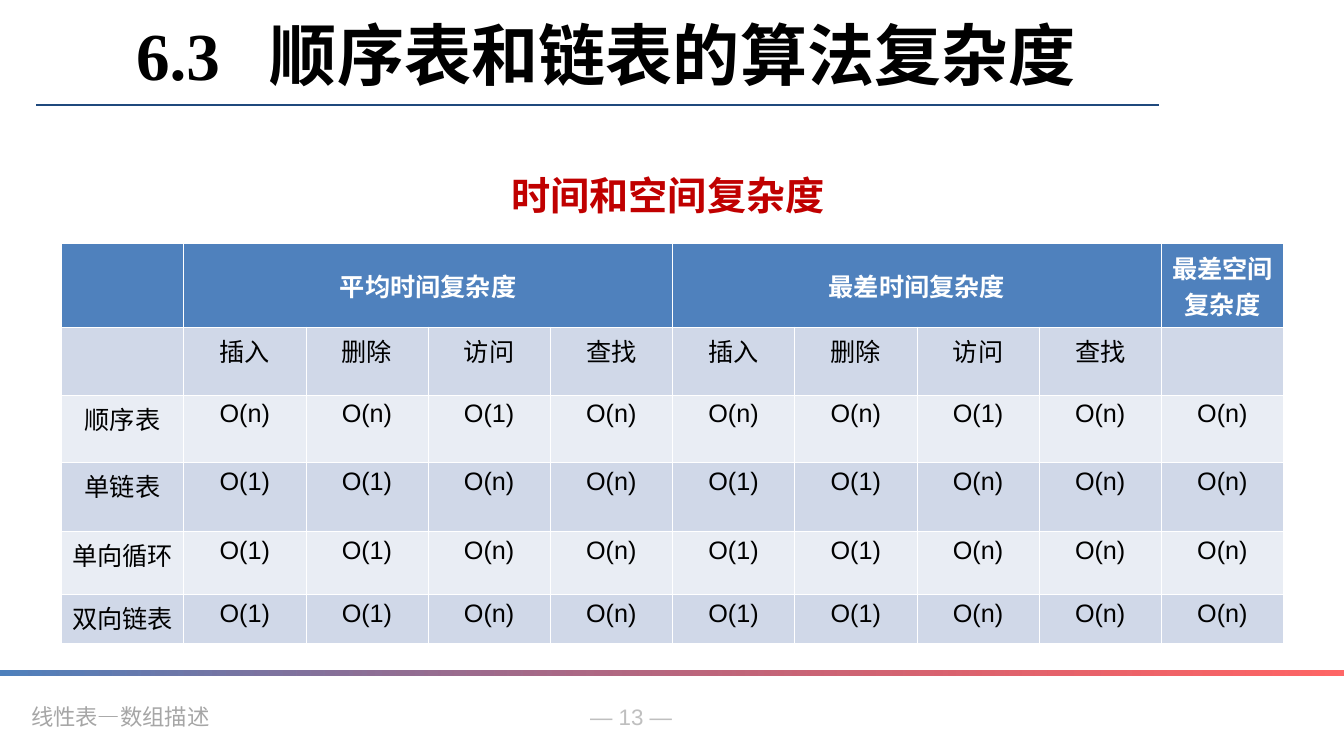
from lxml import etree
from pptx import Presentation
from pptx.dml.color import RGBColor
from pptx.enum import shapes, text
from pptx.oxml import ns
from pptx.util import Inches, Pt

# Content
TITLE_NUMBER, TITLE_TEXT = "6.3", "顺序表和链表的算法复杂度"
SUBTITLE = "时间和空间复杂度"
FOOTER, PAGE_NUMBER = "线性表—数组描述", "— 13 —"
HEADERS = [(1, 4, "平均时间复杂度"), (5, 8, "最差时间复杂度"), (9, 9, "最差空间复杂度")]
OPERATIONS = ["插入", "删除", "访问", "查找"]
ARRAY_COSTS = ["O(n)", "O(n)", "O(1)", "O(n)"]
LINKED_COSTS = ["O(1)", "O(1)", "O(n)", "O(n)"]
STRUCTURES = [
    ("顺序表", ARRAY_COSTS),
    ("单链表", LINKED_COSTS),
    ("单向循环", LINKED_COSTS),
    ("双向链表", LINKED_COSTS),
]
ROW_HEIGHTS = [0.84, 0.67, 0.67, 0.68, 0.63, 0.48]
COLUMN_COUNT, COLUMN_WIDTH = 10, 1.213

# Style
CJK_FONT = "Noto Sans CJK SC"
WHITE, BLACK = RGBColor(255, 255, 255), RGBColor(0, 0, 0)
BLUE, NAVY = RGBColor(0x4F, 0x81, 0xBD), RGBColor(0x1F, 0x49, 0x7D)
RED, DARK_RED = RGBColor(255, 0, 0), RGBColor(0xC0, 0, 0)
DARK_BAND, LIGHT_BAND = RGBColor(0xD0, 0xD8, 0xE8), RGBColor(0xE9, 0xED, 0xF4)
FOOTER_GRAY, PAGE_GRAY = RGBColor(0xA6, 0xA6, 0xA6), RGBColor(0xBF, 0xBF, 0xBF)
THIN, THICK = Pt(0.45), Pt(1.47)


def style_font(font, name, size, color, bold=False):
    font.name, font.size, font.bold = name, Pt(size), bold
    font.color.rgb = color
    latin = font._element.find(ns.qn("a:latin"))
    east_asian = etree.Element(ns.qn("a:ea"), typeface=CJK_FONT)
    latin.addnext(east_asian)


def add_label(slide, box, label, name, size, color, bold=False, wrap=True,
              align=text.PP_ALIGN.LEFT):
    frame = slide.shapes.add_textbox(*map(Inches, box)).text_frame
    frame.word_wrap = wrap
    paragraph = frame.paragraphs[0]
    paragraph.text, paragraph.alignment = label, align
    style_font(paragraph.font, name, size, color, bold)


def set_borders(cell, top, bottom):
    properties = cell._tc.get_or_add_tcPr()
    sides = [("lnL", THIN), ("lnR", THIN), ("lnT", top), ("lnB", bottom)]
    for position, (side, width) in enumerate(sides):
        line = etree.Element(ns.qn("a:" + side), w=str(int(width)))
        fill = etree.SubElement(line, ns.qn("a:solidFill"))
        etree.SubElement(fill, ns.qn("a:srgbClr"), val=str(WHITE))
        properties.insert(position, line)


def add_title(slide):
    title = slide.shapes.title
    title.left, title.top, title.width, title.height = map(Inches, (1.25, 0.08, 9.83, 0.91))
    title.text_frame.vertical_anchor = text.MSO_ANCHOR.MIDDLE
    paragraph = title.text_frame.paragraphs[0]
    paragraph.alignment = text.PP_ALIGN.LEFT
    for label, name in [(TITLE_NUMBER + "\t", "Times New Roman"), (TITLE_TEXT, "Arial")]:
        run = paragraph.add_run()
        run.text = label
        style_font(run.font, name, 48, BLACK, True)
    # A tab stop separates the section number from the heading
    tabs = etree.SubElement(paragraph._p.get_or_add_pPr(), ns.qn("a:tabLst"))
    etree.SubElement(tabs, ns.qn("a:tab"), pos=str(int(Inches(1.33))), algn="l")


def add_rules(slide):
    y = Inches(1.04)
    line = slide.shapes.add_connector(shapes.MSO_CONNECTOR.STRAIGHT,
                                      Inches(0.36), y, Inches(11.5), y)
    line.line.color.rgb, line.line.width = NAVY, Pt(1)
    etree.SubElement(line._element.spPr, ns.qn("a:effectLst"))

    bar = slide.shapes.add_shape(shapes.MSO_SHAPE.RECTANGLE, 0, Inches(6.65),
                                 Inches(13.34), Inches(0.05))
    bar.shadow.inherit = False
    bar.line.fill.background()
    bar.fill.gradient()
    bar.fill.gradient_angle = 0
    for stop, position, color in zip(bar.fill.gradient_stops, (0, 1), (BLUE, RED)):
        stop.position, stop.color.rgb = position, color
    red_stop = bar._element.spPr.findall(".//" + ns.qn("a:srgbClr"))[-1]
    etree.SubElement(red_stop, ns.qn("a:alpha"), val="60000")


def add_complexity_table(slide):
    rows = [[""] * COLUMN_COUNT, ["", *OPERATIONS, *OPERATIONS, ""]]
    rows += [[name, *costs, *costs, "O(n)"] for name, costs in STRUCTURES]
    for first, _, label in HEADERS:
        rows[0][first] = label

    table = slide.shapes.add_table(len(rows), COLUMN_COUNT, Inches(0.61), Inches(2.41),
                                   Inches(COLUMN_COUNT * COLUMN_WIDTH),
                                   Inches(sum(ROW_HEIGHTS))).table
    for column in table.columns:
        column.width = Inches(COLUMN_WIDTH)
    for r, values in enumerate(rows):
        table.rows[r].height = Inches(ROW_HEIGHTS[r])
        is_header = r == 0
        band = BLUE if is_header else DARK_BAND if r % 2 else LIGHT_BAND
        for c, value in enumerate(values):
            cell = table.cell(r, c)
            set_borders(cell, THICK if r == 1 else THIN, THICK if is_header else THIN)
            cell.fill.solid()
            cell.fill.fore_color.rgb = band
            cell.vertical_anchor = text.MSO_ANCHOR.MIDDLE if is_header else text.MSO_ANCHOR.TOP
            paragraph = cell.text_frame.paragraphs[0]
            paragraph.text, paragraph.alignment = value, text.PP_ALIGN.CENTER
            style_font(paragraph.font, "Arial", 18, WHITE if is_header else BLACK, is_header)
    for first, last, _ in HEADERS:
        if last > first:
            table.cell(0, first).merge(table.cell(0, last))


def main():
    presentation = Presentation()
    presentation.slide_width, presentation.slide_height = Inches(13.34), Inches(7.5)
    slide = presentation.slides.add_slide(presentation.slide_layouts[5])

    # Footer and rules
    add_label(slide, (5.76, 6.93, 1.9, 0.37), PAGE_NUMBER, "Arial", 16, PAGE_GRAY, wrap=False)
    add_label(slide, (0.21, 6.93, 3.02, 0.37), FOOTER, "DejaVu Sans Mono", 16, FOOTER_GRAY)
    add_rules(slide)

    # Headings and table
    add_title(slide)
    add_label(slide, (4.78, 1.65, 3.7, 0.62), SUBTITLE, CJK_FONT, 28, DARK_RED, bold=True,
              align=text.PP_ALIGN.CENTER)
    add_complexity_table(slide)
    presentation.save("out.pptx")


if __name__ == "__main__":
    main()
